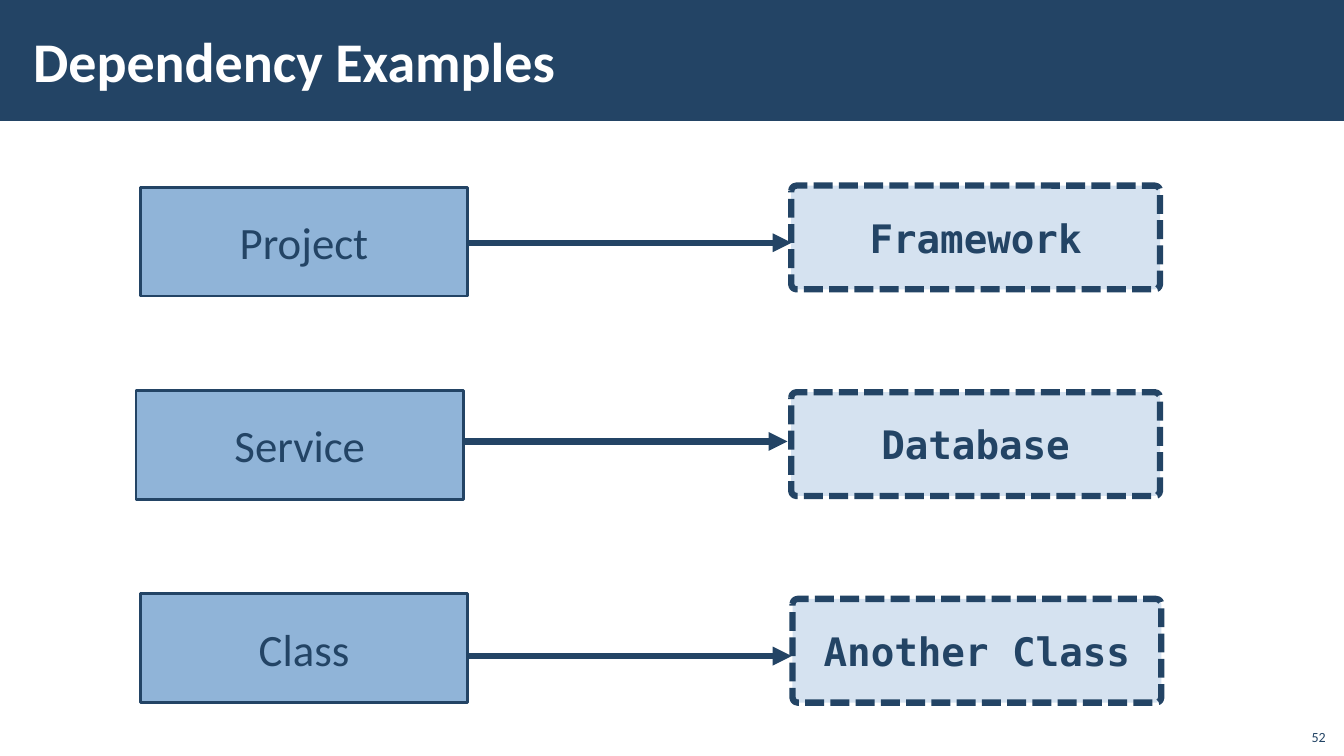
from pptx import Presentation
from pptx.dml.color import RGBColor
from pptx.enum.dml import MSO_LINE
from pptx.enum.shapes import MSO_CONNECTOR, MSO_SHAPE
from pptx.enum.text import MSO_ANCHOR as ANCHOR, PP_ALIGN as ALIGN
from pptx.oxml.ns import qn
from pptx.util import Inches, Pt
from lxml.etree import SubElement

NAVY = RGBColor(0x23, 0x44, 0x65)
SKY = RGBColor(0x90, 0xB4, 0xD8)
BLUE = RGBColor(0x58, 0x8F, 0xC5)
WHITE = RGBColor(0xFF, 0xFF, 0xFF)
SANS, MONO = "Calibri", "DejaVu Sans Mono"
COLS, ROWS = 32, 18


class Deck:
    def __init__(self):
        self.prs = Presentation()
        self.prs.slide_width = Inches(13.33)
        self.prs.slide_height = Inches(7.5)
        self.s = self.prs.slides.add_slide(self.prs.slide_layouts[6])

    def grid(self, *lengths):
        sizes = (self.prs.slide_width / COLS, self.prs.slide_height / ROWS)
        return [round(n * sizes[i % 2]) for i, n in enumerate(lengths)]

    def label(self, sp, text, size, font=SANS, color=NAVY, bold=False,
              align=ALIGN.CENTER, anchor=ANCHOR.MIDDLE):
        tf = sp.text_frame
        tf.word_wrap = True
        tf.vertical_anchor = anchor
        p = tf.paragraphs[0]
        p.text = text
        p.alignment = align
        p.font.name, p.font.size, p.font.bold = font, Pt(size), bold
        p.font.color.rgb = color
        return tf

    def text(self, box, text, size, **style):
        sp = self.s.shapes.add_textbox(*self.grid(*box))
        return self.label(sp, text, size, **style)

    def shape(self, kind, box, fill, line=None):
        sp = self.s.shapes.add_shape(kind, *self.grid(*box))
        sp.shadow.inherit = False
        sp.fill.solid()
        sp.fill.fore_color.rgb = fill
        if line:
            sp.line.color.rgb = NAVY
            sp.line.width = Pt(line)
        else:
            sp.line.fill.background()
        return sp

    def client(self, box, text):
        self.label(self.shape(MSO_SHAPE.RECTANGLE, box, SKY, 2), text, 32)

    def dependency(self, box, text):
        sp = self.shape(MSO_SHAPE.ROUNDED_RECTANGLE, box, BLUE, 4.5)
        sp.adjustments[0] = 0.05
        sp.line.dash_style = MSO_LINE.SQUARE_DOT
        color = sp._element.spPr.find(qn("a:solidFill"))[0]
        SubElement(color, qn("a:alpha"), val="25000")
        self.label(sp, text, 28, MONO, bold=True)

    def arrow(self, x, y, length):
        c = self.s.shapes.add_connector(
            MSO_CONNECTOR.STRAIGHT, *self.grid(x, y, x + length, y))
        c.line.color.rgb = NAVY
        c.line.width = Pt(4.5)
        ln = c._element.spPr.find(qn("a:ln"))
        SubElement(ln, qn("a:tailEnd"), type="triangle")
        SubElement(c._element.spPr, qn("a:effectLst"))


def main():
    deck = Deck()
    deck.shape(MSO_SHAPE.RECTANGLE, (0, 0, COLS, 2.88), NAVY)
    tf = deck.text((0.5, 0.26, 25.51, 2.33), "Dependency Examples", 40,
                   color=WHITE, bold=True, align=ALIGN.LEFT)
    tf.margin_left = tf.margin_right = Inches(0.12)
    tf.margin_top = tf.margin_bottom = Inches(0.04)
    deck.text((30.84, 17.09, 0.96, 0.77), "52", 10,
              align=ALIGN.RIGHT, anchor=ANCHOR.BOTTOM)

    client_width, arrow_length = 7.8, 7.71
    pairs = [
        ("Project", 3.34, 5.78, "Framework", 18.84),
        ("Service", 3.24, 10.51, "Database", 18.84),
        ("Class", 3.34, 15.62, "Another Class", 18.87),
    ]
    for i, (client, x, arrow_y, dependency, dep_x) in enumerate(pairs):
        deck.client((x, 4.46 + 4.84 * i, client_width, 2.59), client)
        deck.arrow(x + client_width, arrow_y, arrow_length)
        deck.dependency((dep_x, 4.42 + 4.92 * i, 8.78, 2.47), dependency)
    deck.prs.save("out.pptx")


if __name__ == "__main__":
    main()
